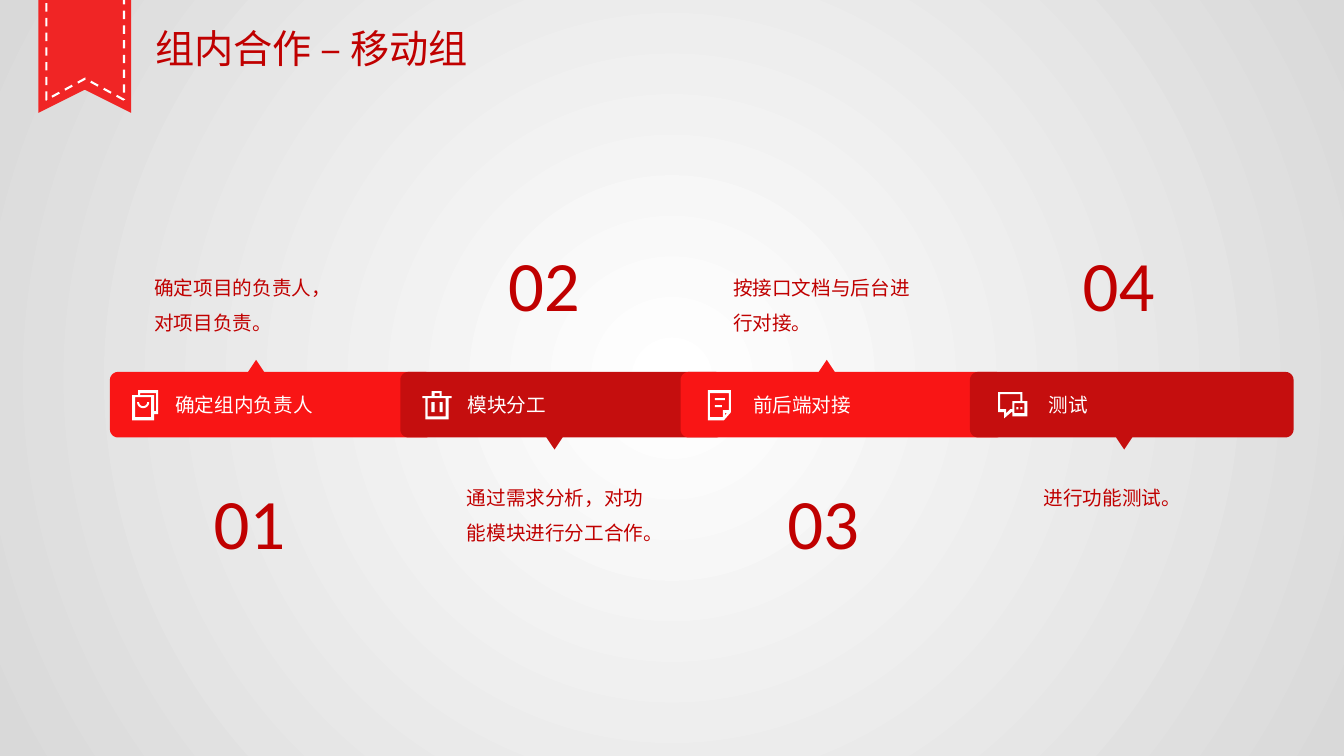
from math import cos, pi, sin

from lxml import etree
from pptx import Presentation
from pptx.dml.color import RGBColor
from pptx.enum.dml import MSO_LINE
from pptx.enum.text import MSO_AUTO_SIZE
from pptx.oxml.ns import qn
from pptx.util import Pt

PX = 9144
DASH = MSO_LINE.DASH
GROW = MSO_AUTO_SIZE.SHAPE_TO_FIT_TEXT
THEME = {
    "ribbon": "F02525", "bright": "F91515", "deep": "C50E0E",
    "ink": "C00000", "white": "FFFFFF", "edge": "D9D9D9",
    "title": 28, "body": 14, "number": 50.6,
    "latin": "Calibri", "han": "Noto Sans CJK SC",
}
COLOR = {k: RGBColor.from_string(THEME[k])
         for k in ("ribbon", "bright", "deep", "ink", "white", "edge")}

deck = Presentation()
deck.slide_width, deck.slide_height = 1333 * PX, 750 * PX
slide = deck.slides.add_slide(deck.slide_layouts[6])
shapes = slide.shapes

back = slide.background.fill
back.gradient()
for stop, name, place in zip(back.gradient_stops, ("white", "edge"), (0, 1)):
    stop.color.rgb = COLOR[name]
    stop.position = place
grad = slide.element.find(".//" + qn("a:gradFill"))
grad.remove(grad.find(qn("a:lin")))
focus = etree.SubElement(grad, qn("a:path"), {"path": "circle"})
etree.SubElement(focus, qn("a:fillToRect"), dict.fromkeys("ltrb", "50000"))


def draw(loops, fill=None):
    pen = None
    for loop in loops:
        first, *rest = [(x * PX, y * PX) for x, y in loop]
        if pen is None:
            pen = shapes.build_freeform(*first)
        else:
            pen.move_to(*first)
        pen.add_line_segments(rest)
    shape = pen.convert_to_shape()
    shape.shadow.inherit = False
    if fill:
        shape.fill.solid()
        shape.fill.fore_color.rgb = COLOR[fill]
    else:
        shape.fill.background()
    shape.line.fill.background()
    return shape


def write(box, lines, size, font, ink="ink", wrap=False, tall=None):
    frame = shapes.add_textbox(*[n * PX for n in box]).text_frame
    frame.word_wrap = wrap
    frame.auto_size = GROW
    if tall:
        frame.margin_left = frame.margin_right = 0
        frame.margin_top = frame.margin_bottom = 0
    frame.text = "\n".join(lines)
    for para in frame.paragraphs:
        if tall:
            para.line_spacing = tall
        para.font.size = Pt(THEME[size])
        para.font.name = THEME[font]
        para.font.color.rgb = COLOR[ink]


flags = []
for left, right, top, notch, foot, fill in (
    (38, 130, -238, 89, 112, "ribbon"),
    (46, 123, -228, 78, 99, None),
):
    flags.append(draw([[(right, foot), ((left + right) / 2, notch), (left, foot),
                        (left, top), (right, top), (right, foot)]], fill))
stitch = flags[1].line
stitch.color.rgb = COLOR["white"]
stitch.width = Pt(1.5)
stitch.dash_style = DASH
shapes.add_group_shape(flags)
write((144, 19, 345, 57), ["组内合作 – 移动组"], "title", "han", wrap=True)

smile = [(142 + r * cos(a * pi / 12), 399 + r * sin(a * pi / 12))
         for r, turn in ((6, range(13)), (4, range(12, -1, -1))) for a in turn]
bag = [
    [(157, 387), (137, 387), (137, 392), (131, 392), (131, 417), (153, 417),
     (153, 411), (157, 411), (157, 387)],
    [(150, 414), (134, 414), (134, 394), (150, 394), (150, 414)],
    [(155, 408), (153, 408), (153, 392), (139, 392), (139, 390), (155, 390),
     (155, 408)],
]
bin_can = [
    [(448, 393), (438, 393), (438, 388), (428, 388), (428, 393), (419, 393),
     (419, 395), (422, 395), (422, 416), (445, 416), (445, 395), (448, 395),
     (448, 393)],
    [(431, 390), (436, 390), (436, 393), (431, 393), (431, 390)],
    [(442, 413), (424, 413), (424, 395), (442, 395), (442, 413)],
]
page = [
    [(702, 387), (702, 417), (718, 417), (725, 409), (725, 387), (702, 387)],
    [(704, 390), (723, 390), (723, 407), (717, 407), (717, 414), (704, 414),
     (704, 390)],
    [(721, 410), (719, 412), (719, 410), (721, 410)],
]
chat = [
    [(1014, 398), (1014, 389), (990, 389), (990, 409), (996, 409), (996, 415),
     (1003, 409), (1004, 409), (1004, 413), (1019, 413), (1019, 398),
     (1014, 398)],
    [(1002, 406), (998, 410), (998, 406), (992, 406), (992, 391), (1012, 391),
     (1012, 398), (1004, 398), (1004, 406), (1002, 406)],
    [(1016, 410), (1006, 410), (1006, 400), (1016, 400), (1016, 410)],
]


STEPS = [
    (109, "确定组内负责人", 164, 158, ["确定项目的负责人，", "对项目负责。"],
     153, 71, 202, [[smile + smile[:1]], bag], []),
    (397, "模块分工", 454, 99, ["通过需求分析，对功能模块进行分工合作。"],
     463, 67, 494, [bin_can], [(428, 399, 3, 10), (436, 399, 3, 10)]),
    (675, "前后端对接", 737, 118, ["按接口文档与后台进行对接。"],
     727, 67, 771, [page], [(709, 395, 10, 2), (709, 402, 7, 2)]),
    (962, "测试", 1030, 59, ["进行功能测试。"],
     1035, 31, 1064, [chat], [(1008, 404, 2, 2), (1012, 404, 2, 2)]),
]
WIDE, TOP, FOOT, ROUND = 321, 369, 434, 8

for i, step in enumerate(STEPS):
    left, odd = step[0], i % 2
    right = left + WIDE
    ring = []
    for k, (x, y) in enumerate(((right - ROUND, FOOT - ROUND), (left + ROUND, FOOT - ROUND),
                                (left + ROUND, TOP + ROUND), (right - ROUND, TOP + ROUND))):
        ring += [(x + ROUND * cos(a * pi / 12), y + ROUND * sin(a * pi / 12))
                 for a in range(6 * k, 6 * k + 7)]
        if k == 0 and odd:
            ring += [(left + 161, FOOT), (left + 153, FOOT + 12), (left + 145, FOOT)]
        if k == 2 and not odd:
            ring += [(left + 137, TOP), (left + 145, TOP - 12), (left + 153, TOP)]
    draw([ring + ring[:1]], "deep" if odd else "bright")

for i, (_, label, lab_x, lab_w, note, note_x, note_h, num_x, icon, bars) in enumerate(STEPS):
    parts = [draw(loops, "white") for loops in icon]
    for x, y, w, h in bars:
        parts.append(draw([[(x, y), (x + w, y), (x + w, y + h), (x, y + h), (x, y)]], "white"))
    shapes.add_group_shape(parts)
    write((lab_x, 385, lab_w, 34), [label], "body", "latin", "white")
    write((note_x, 470 if i % 2 else 262, 181, note_h), note, "body", "han",
          wrap=True, tall=1.5)
    write((num_x, 234 if i % 2 else 470, 92, 95), [f"{i + 1:02}"], "number", "latin")

deck.save("out.pptx")
